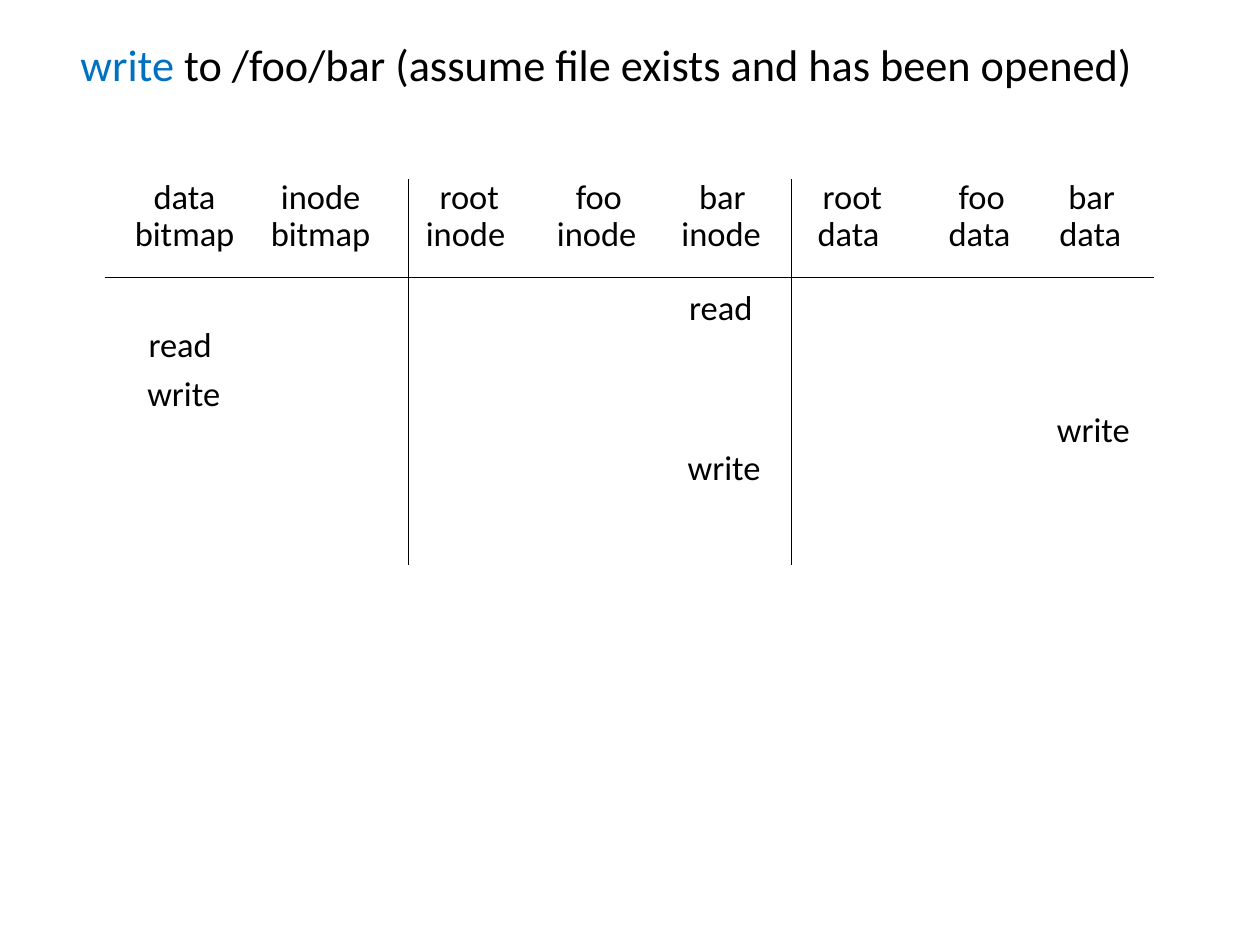
from lxml.etree import SubElement
from pptx import Presentation
from pptx.dml.color import RGBColor
from pptx.enum.shapes import MSO_CONNECTOR
from pptx.enum.text import MSO_ANCHOR, MSO_AUTO_SIZE
from pptx.oxml.ns import qn
from pptx.util import Pt

BLACK = RGBColor(0x00, 0x00, 0x00)
BLUE = RGBColor(0x00, 0x70, 0xC0)

prs = Presentation()
prs.slide_width = Pt(720)
prs.slide_height = Pt(540)
s = prs.slides.add_slide(prs.slide_layouts[6])


def add_text(x, y, w, h, size, runs):
    sp = s.shapes.add_textbox(Pt(x), Pt(y), Pt(w), Pt(h))
    tf = sp.text_frame
    tf.word_wrap = False
    tf.auto_size = MSO_AUTO_SIZE.SHAPE_TO_FIT_TEXT
    tf.vertical_anchor = MSO_ANCHOR.MIDDLE
    tf.margin_left = tf.margin_right = tf.margin_top = tf.margin_bottom = Pt(2.8)
    p = tf.paragraphs[0]
    for text, color in runs:
        r = p.add_run()
        r.text = text
        r.font.name = "Calibri"
        r.font.size = Pt(size)
        r.font.color.rgb = color


add_text(43.2, 18.7, 612, 36, 25.3, [
    ("write", BLUE),
    (" to /foo/bar (assume file exists and has been opened)", BLACK),
])

word_widths = {"data": 41, "inode": 51.8, "root": 39.6, "foo": 32.4,
               "bar": 32.4, "bitmap": 63.4, "read": 42.5, "write": 47.5}

rows = [
    (97.2, [("data", 85), ("inode", 157.7), ("root", 248.4), ("foo", 326.2),
            ("bar", 396.7), ("root", 467.3), ("foo", 545), ("bar", 607.7)]),
    (118.1, [("bitmap", 74.2), ("bitmap", 151.9), ("inode", 240.5), ("inode", 315.4),
             ("inode", 386.6), ("data", 464.4), ("data", 539.3), ("data", 602.6)]),
    (160.6, [("read", 391)]),
    (181.4, [("read", 82.1)]),
    (209.5, [("write", 81.4)]),
    (230.4, [("write", 601.2)]),
    (252, [("write", 390.2)]),
]
for y, words in rows:
    for word, x in words:
        add_text(x, y, word_widths[word], 29.5, 19.7, [(word, BLACK)])

for x1, y1, x2, y2 in [(59.8, 158.4, 659.5, 158.4),
                       (233.3, 322.6, 233.3, 102.2),
                       (452.2, 322.6, 452.2, 102.2)]:
    line = s.shapes.add_connector(MSO_CONNECTOR.STRAIGHT, Pt(x1), Pt(y1), Pt(x2), Pt(y2))
    line.line.color.rgb = BLACK
    line.line.width = Pt(0.75)
    SubElement(line._element.spPr, qn("a:effectLst"))

prs.save("out.pptx")
